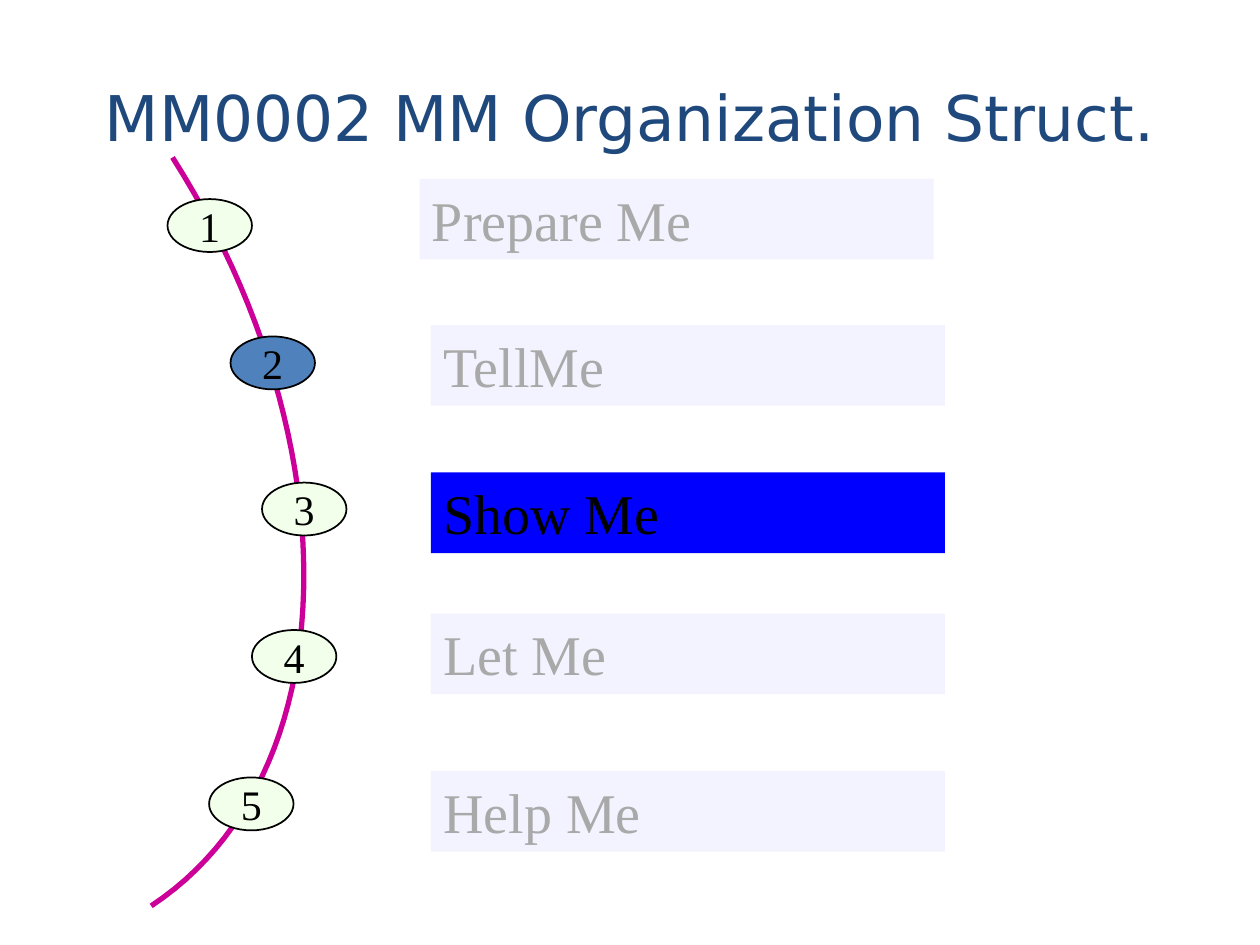
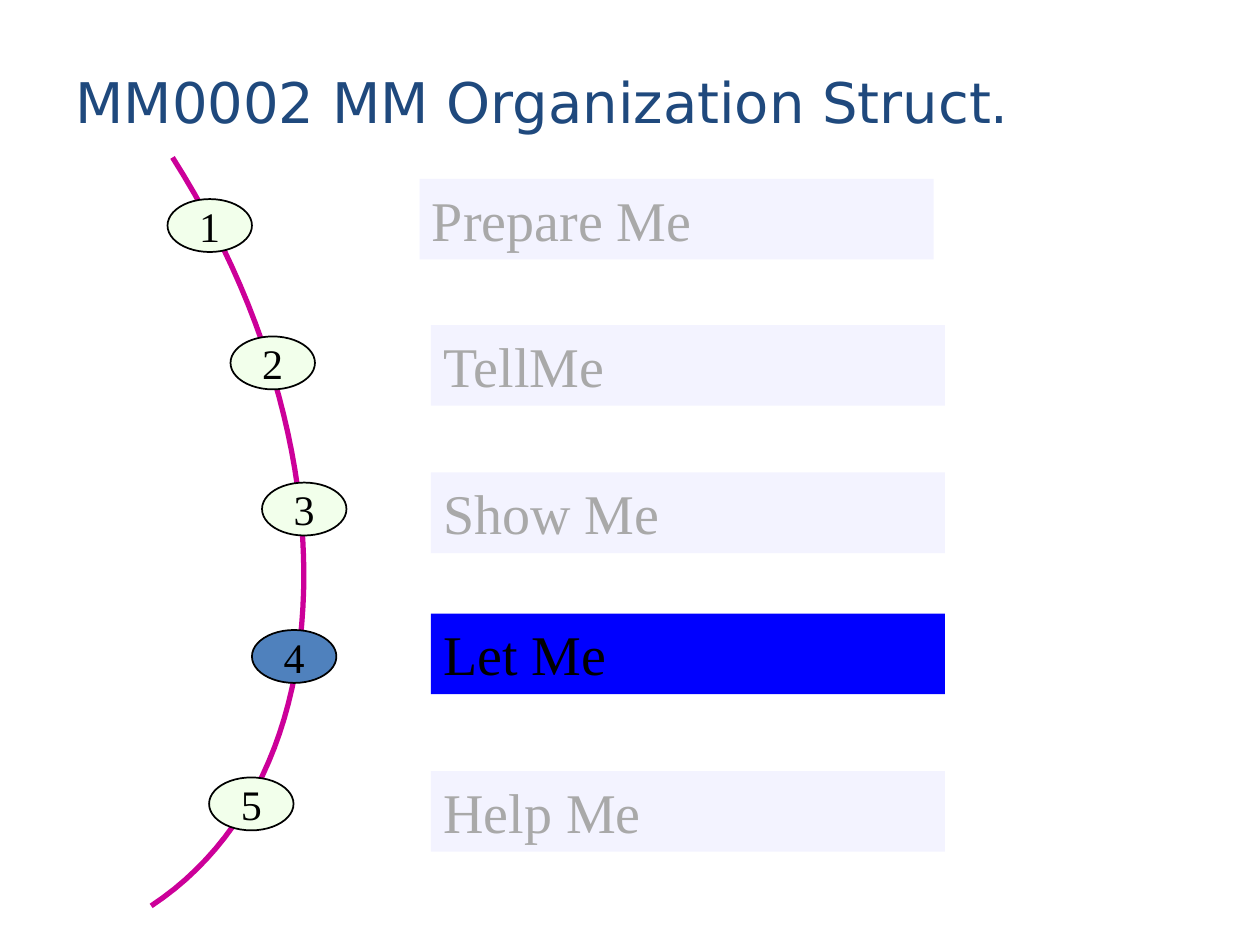
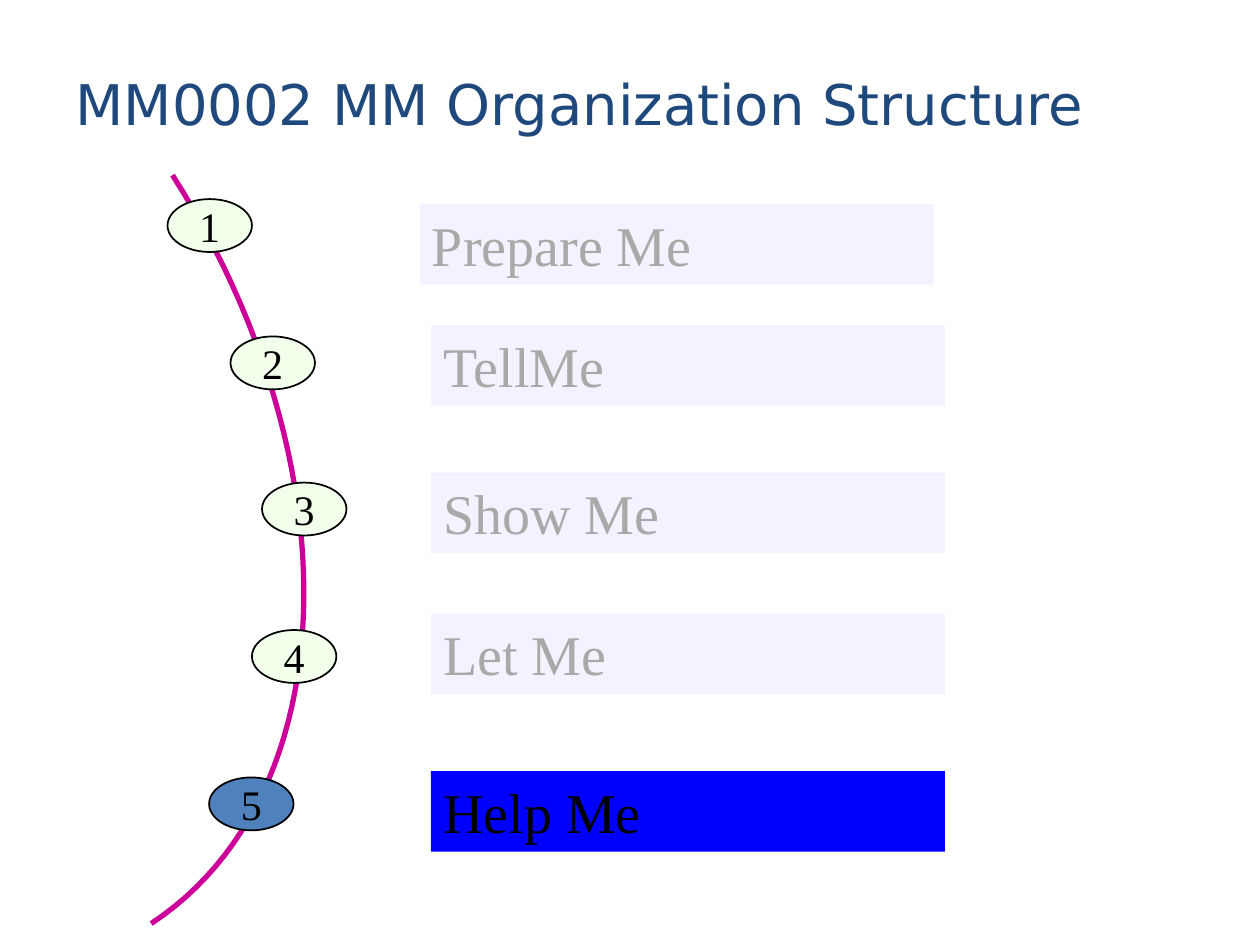
"""Build three agenda slides that mark the current step along a curved path."""
from pptx import Presentation
from pptx.dml.color import RGBColor
from pptx.enum.shapes import MSO_SHAPE
from pptx.enum.text import MSO_ANCHOR, MSO_AUTO_SIZE, PP_ALIGN
from pptx.util import Inches, Pt

OVAL, RECTANGLE = MSO_SHAPE.OVAL, MSO_SHAPE.RECTANGLE
MIDDLE, TOP = MSO_ANCHOR.MIDDLE, MSO_ANCHOR.TOP
LEFT, CENTER = PP_ALIGN.LEFT, PP_ALIGN.CENTER
FIT_SHAPE = MSO_AUTO_SIZE.SHAPE_TO_FIT_TEXT

TITLE_FONT, BODY_FONT = "DejaVu Sans", "Times New Roman"
NAVY, BLACK, GREY = "1F497D", "000000", "A9A9A9"
MAGENTA, MINT, STEEL = "CC0099", "F2FFEB", "4F81BD"
LAVENDER, BLUE = "F3F3FF", "0000FF"

SLIDES = [
    {"title": "MM0002 MM Organization Struct.", "title_box": (9, 1.25),
     "title_size": 36, "title_align": CENTER, "marker": 2, "step": 3,
     "curve_shift": 0, "first_step_shift": 0},
    {"title": "MM0002 MM Organization Struct.", "title_box": (9, 1),
     "title_size": 32, "title_align": LEFT, "marker": 4, "step": 4,
     "curve_shift": 0, "first_step_shift": 0},
    {"title": "MM0002 MM Organization Structure", "title_box": (9.25, 1.03),
     "title_size": 32, "title_align": LEFT, "marker": 5, "step": 5,
     "curve_shift": 0.14, "first_step_shift": 0.2},
]
MARKERS = [(1.33, 1.58), (1.83, 2.67), (2.08, 3.83), (2, 5), (1.66, 6.17)]
STEPS = [
    ("Prepare Me", 3.33, 1.42),
    ("TellMe", 3.42, 2.58),
    ("Show Me", 3.42, 3.75),
    ("Let Me", 3.42, 4.87),
    ("Help Me", 3.42, 6.12),
]
MARKER_SIZE, STEP_SIZE = (0.67, 0.42), (4.08, 0.64)
CURVE = [(1.37, 1.25), (2.82, 3.54), (2.75, 6.17), (1.2, 7.19)]
CURVE_PARTS = 48


def color(value):
    return RGBColor.from_string(value)


def write(shape, text, font, size, ink, align, anchor, wrap=True):
    frame = shape.text_frame
    frame.word_wrap = wrap
    frame.vertical_anchor = anchor
    paragraph = frame.paragraphs[0]
    paragraph.text = text
    paragraph.alignment = align
    paragraph.font.name = font
    paragraph.font.size = Pt(size)
    paragraph.font.color.rgb = color(ink)


def add_block(slide, kind, position, size, fill):
    block = slide.shapes.add_shape(kind, *map(Inches, position + size))
    block.shadow.inherit = False
    block.fill.solid()
    block.fill.fore_color.rgb = color(fill)
    block.line.fill.background()
    return block


def add_title(slide, content):
    width, height = content["title_box"]
    title = slide.shapes.add_textbox(*map(Inches, (0.5, 0.3, width, height)))
    write(title, content["title"], TITLE_FONT, content["title_size"], NAVY,
          content["title_align"], MIDDLE)


def curve_point(t, shift):
    weights = ((1 - t) ** 3, 3 * t * (1 - t) ** 2, 3 * t * t * (1 - t), t ** 3)
    x = sum(weight * point[0] for weight, point in zip(weights, CURVE))
    y = sum(weight * point[1] for weight, point in zip(weights, CURVE))
    return Inches(x), Inches(y + shift)


def add_curve(slide, shift):
    points = [curve_point(part / CURVE_PARTS, shift) for part in range(CURVE_PARTS + 1)]
    builder = slide.shapes.build_freeform(*points[0])
    builder.add_line_segments(points[1:], close=False)
    curve = builder.convert_to_shape()
    curve.shadow.inherit = False
    curve.fill.background()
    curve.line.color.rgb = color(MAGENTA)
    curve.line.width = Pt(3)


def add_marker(slide, number, position, active):
    marker = add_block(slide, OVAL, position, MARKER_SIZE, STEEL if active else MINT)
    marker.line.color.rgb = color(BLACK)
    marker.line.width = Pt(1)
    write(marker, str(number), BODY_FONT, 24, BLACK, CENTER, MIDDLE, wrap=False)


def add_step(slide, label, position, active):
    step = add_block(slide, RECTANGLE, position, STEP_SIZE, BLUE if active else LAVENDER)
    write(step, label, BODY_FONT, 32, BLACK if active else GREY, LEFT, TOP)
    step.text_frame.auto_size = FIT_SHAPE


def main():
    deck = Presentation()
    deck.slide_width, deck.slide_height = Inches(10), Inches(7.5)
    for content in SLIDES:
        slide = deck.slides.add_slide(deck.slide_layouts[6])
        add_title(slide, content)
        add_curve(slide, content["curve_shift"])
        for number, (marker, (label, x, y)) in enumerate(zip(MARKERS, STEPS), 1):
            shift = content["first_step_shift"] if number == 1 else 0
            add_marker(slide, number, marker, number == content["marker"])
            add_step(slide, label, (x, y + shift), number == content["step"])
    deck.save("out.pptx")


if __name__ == "__main__":
    main()
